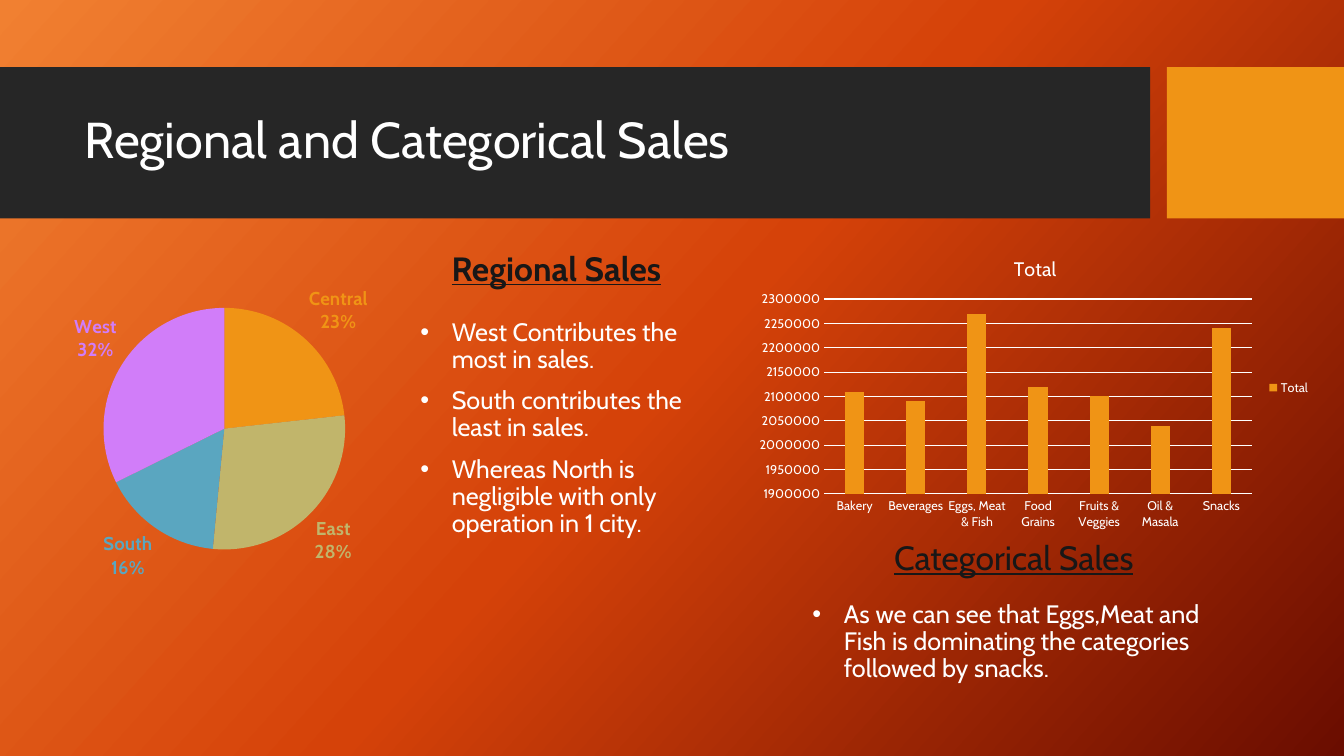
from copy import deepcopy

from lxml.etree import SubElement
from pptx import Presentation
from pptx.chart.data import CategoryChartData
from pptx.dml.color import RGBColor
from pptx.enum.chart import (XL_CHART_TYPE, XL_LABEL_POSITION,
                             XL_LEGEND_POSITION, XL_TICK_MARK)
from pptx.enum.shapes import MSO_SHAPE
from pptx.enum.text import MSO_ANCHOR, MSO_AUTO_SIZE, PP_ALIGN
from pptx.oxml.ns import qn
from pptx.util import Pt

WHITE, INK, AMBER = "FFFFFF", "181717", "F09415"


def style(font, size, color=WHITE, bold=False, line=False):
    """Set face, size, colour, weight and underline of a font."""
    font.name = "Cabin"
    font.size = Pt(size)
    font.bold = bold
    font.underline = line
    font.color.rgb = RGBColor.from_string(color)


def place(chart, *box):
    """Fix the inner plot area as shares (x, y, w, h) of the chart."""
    area = chart.element.find(".//" + qn("c:plotArea"))
    for old in area.findall(qn("c:layout")):
        area.remove(old)
    layout = SubElement(area, qn("c:layout"))
    area.insert(0, layout)
    manual = SubElement(layout, qn("c:manualLayout"))
    parts = [("layoutTarget", "inner"), ("xMode", "edge"), ("yMode", "edge")]
    for tag, val in parts + list(zip("xywh", box)):
        SubElement(manual, qn("c:" + tag)).set("val", str(val))


deck = Presentation()
deck.slide_width, deck.slide_height = Pt(960), Pt(540)
slide = deck.slides.add_slide(deck.slide_layouts[4])
title = slide.shapes.title

# Background gradient
back = slide.background.fill
back.gradient()
back.gradient_angle = 360 - 42
stops = slide.element.find(".//" + qn("a:gsLst"))
stops.insert(1, deepcopy(stops[0]))
for stop, spot, color in zip(back.gradient_stops, (0, 0.5, 1),
                             ("F18031", "D54209", "6A0D00")):
    stop.position = spot
    stop.color.rgb = RGBColor.from_string(color)

# Title band and accent block, behind the title
for left, width, color in ((0, 821.5, "262626"), (833.5, 126.5, AMBER)):
    band = slide.shapes.add_shape(MSO_SHAPE.RECTANGLE, Pt(left), Pt(48),
                                  Pt(width), Pt(108))
    band.shadow.inherit = False
    band.fill.solid()
    band.fill.fore_color.rgb = RGBColor.from_string(color)
    band.line.fill.background()
    title.element.addprevious(band.element)

# Title, headings and lists: index, box, anchor, alignment, font, bullets, text
MID, LOW, TOP = MSO_ANCHOR.MIDDLE, MSO_ANCHOR.BOTTOM, MSO_ANCHOR.TOP
LEFT, CENTER = PP_ALIGN.LEFT, PP_ALIGN.CENTER
texts = [
    (0, (53.3, 59, 756.7, 85), MID, LEFT, (36,), False,
     ["Regional and Categorical Sales"]),
    (1, (277.2, 164.2, 240.5, 45.4), LOW, CENTER, (24, INK, True, True), False,
     ["Regional Sales"]),
    (2, (293, 224.6, 240.5, 221), TOP, LEFT, (18,), True,
     ["West Contributes the most in sales.",
      "South contributes the least in sales.",
      "Whereas North is negligible with only operation in 1 city."]),
    (3, (631.4, 370.8, 237.6, 45.4), LOW, LEFT, (24, INK, False, True), False,
     ["Categorical Sales"]),
    (4, (573.1, 426.2, 314.6, 83.5), TOP, LEFT, (18,), True,
     ["As we can see that Eggs,Meat and Fish is dominating the categories "
      "followed by snacks."]),
]
holders = {h.placeholder_format.idx: h for h in slide.placeholders}
for idx, box, anchor, align, font, listed, lines in texts:
    holder = holders[idx]
    holder.left, holder.top, holder.width, holder.height = map(Pt, box)
    frame = holder.text_frame
    frame.word_wrap = True
    frame.auto_size = MSO_AUTO_SIZE.NONE
    frame.vertical_anchor = anchor
    for num, line in enumerate(lines):
        para = frame.add_paragraph() if num else frame.paragraphs[0]
        para.alignment = align
        para.line_spacing = 0.9
        para.space_before = Pt(10 if idx else 0)
        run = para.add_run()
        run.text = line
        style(run.font, *font)
        if listed:
            props = para._p.get_or_add_pPr()
            props.set("marL", str(Pt(22.5)))
            props.set("indent", str(-Pt(22.5)))
            SubElement(props, qn("a:buChar")).set("char", "\u2022")

# Regional pie
data = CategoryChartData()
data.categories = ["Central", "East", "North", "South", "West"]
data.add_series("Series 1", (23, 28, 0, 16, 32))
pie = slide.shapes.add_chart(XL_CHART_TYPE.PIE, Pt(0), Pt(171.4), Pt(308.2),
                             Pt(267), data).chart
style(pie.font, 10)
pie.has_title = pie.has_legend = False
place(pie, 0.24, 0.18, 0.56, 0.65)
slices = pie.plots[0].series[0].points
for num, color in enumerate((AMBER, "C1B56B", "4BAF73", "5AA6C0", "D17DF9")):
    part = slices[num]
    part.format.fill.solid()
    part.format.fill.fore_color.rgb = RGBColor.from_string(color)
    part.format.line.fill.background()
    style(part.data_label.font, 13.3, color, True)
    part.data_label.position = XL_LABEL_POSITION.OUTSIDE_END
for label in pie.element.iter(qn("c:dLbl")):
    for tag, val in (("Val", "0"), ("CatName", "1"), ("Percent", "1")):
        label.find(qn("c:show" + tag)).set("val", val)
    SubElement(label, qn("c:separator")).text = "\n"

# Category columns
data = CategoryChartData()
data.categories = ["Bakery", "Beverages", "Eggs, Meat & Fish", "Food Grains",
                   "Fruits & Veggies", "Oil & Masala", "Snacks"]
data.add_series("Total", (2110000, 2090000, 2270000, 2120000, 2100000,
                          2040000, 2240000))
bars = slide.shapes.add_chart(XL_CHART_TYPE.COLUMN_CLUSTERED, Pt(535.7),
                              Pt(171.4), Pt(407.5), Pt(211), data).chart
style(bars.font, 10)
place(bars, 0.13, 0.2, 0.75, 0.66)
bars.has_title = True
head = bars.chart_title.text_frame.paragraphs[0].add_run()
head.text = "Total"
style(head.font, 14)
bars.has_legend = True
bars.legend.position = XL_LEGEND_POSITION.RIGHT
bars.legend.include_in_layout = False
style(bars.legend.font, 9)

plot = bars.plots[0]
plot.vary_by_categories = False
plot.gap_width, plot.overlap = 219, -27
fill = plot.series[0].format.fill
fill.solid()
fill.fore_color.rgb = RGBColor.from_string(AMBER)

cats, vals = bars.category_axis, bars.value_axis
for axis in (cats, vals):
    axis.major_tick_mark = axis.minor_tick_mark = XL_TICK_MARK.NONE
    style(axis.tick_labels.font, 9)
vals.minimum_scale, vals.maximum_scale = 1900000, 2300000
vals.major_unit = 50000
vals.has_major_gridlines = True
vals.format.line.fill.background()
for rule in (cats.format.line, vals.major_gridlines.format.line):
    rule.color.rgb = RGBColor.from_string(WHITE)
    rule.width = Pt(0.75)

deck.save("out.pptx")
